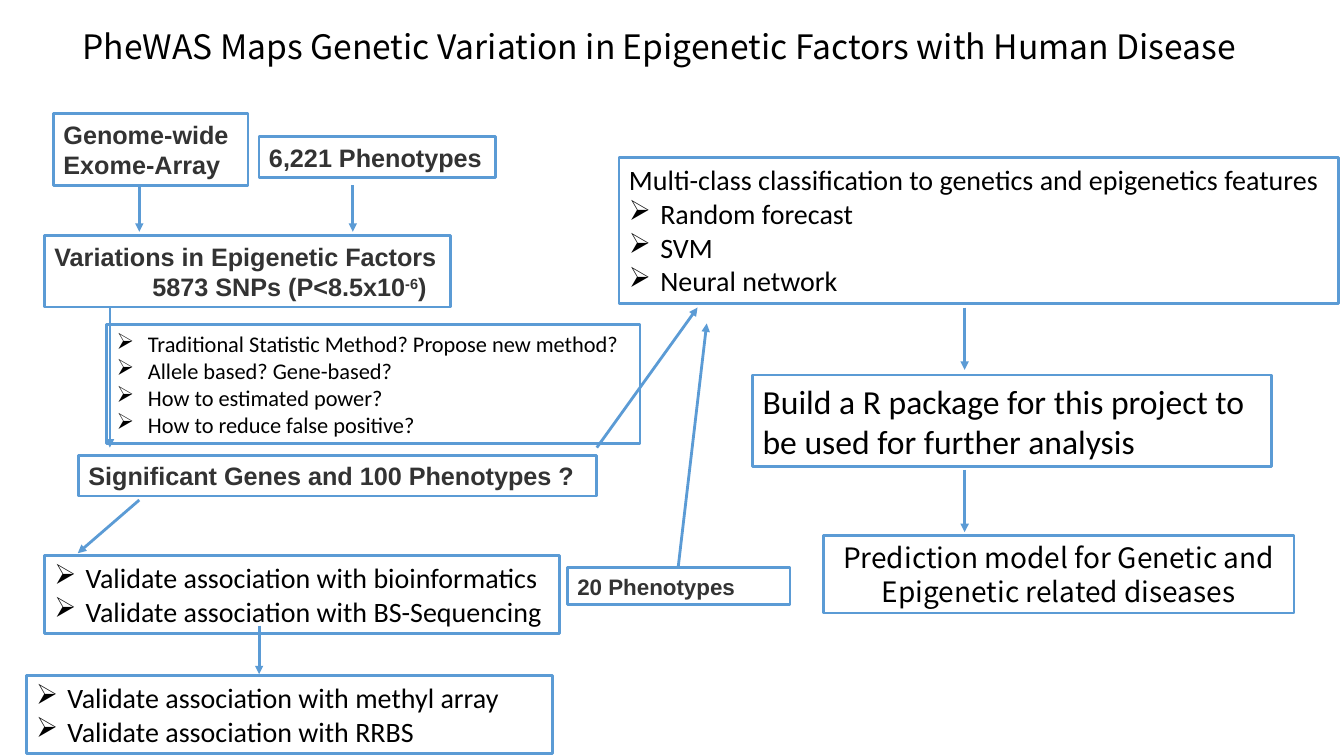
from lxml.etree import SubElement
from pptx import Presentation
from pptx.dml.color import RGBColor
from pptx.enum.shapes import MSO_CONNECTOR as Connector, MSO_SHAPE as Shape
from pptx.enum.text import MSO_ANCHOR as Anchor, MSO_AUTO_SIZE as AutoSize, PP_ALIGN as Align
from pptx.oxml.ns import qn
from pptx.util import Cm, Pt

BLUE, BLACK, GREY, WHITE = "5B9BD5", "000000", "333333", "FFFFFF"
SANS, BODY, WIDE = "Arial", "Calibri", "Noto Sans CJK SC"
BULLET_INDENT = Cm(0.79)


def colour(value):
    return RGBColor.from_string(value)


def set_font(para, name, size, shade, bold=False):
    font = para.font
    font.name, font.size, font.bold = name, Pt(size), bold
    font.color.rgb = colour(shade)


def set_indent(para, left, first=0):
    properties = para._p.get_or_add_pPr()
    properties.set("marL", str(left))
    properties.set("indent", str(first))
    return properties


def add_bullet(para):
    properties = set_indent(para, BULLET_INDENT, -BULLET_INDENT)
    SubElement(properties, qn("a:buChar"), char="➢")


def add_box(page, left, top, width, height, lines, size, name=BODY,
            shade=BLACK, bold=False, filled=False, bullets_from=None):
    """Draw a framed box; lines from index bullets_from on get bullets."""
    box = page.shapes.add_shape(Shape.RECTANGLE, Cm(left), Cm(top), Cm(width), Cm(height))
    box.shadow.inherit = False
    if filled:
        box.fill.solid()
        box.fill.fore_color.rgb = colour(WHITE)
    else:
        box.fill.background()
    box.line.color.rgb = colour(BLUE)
    box.line.width = Pt(2)
    frame = box.text_frame
    frame.word_wrap = True
    frame.vertical_anchor = Anchor.MIDDLE
    for index, line in enumerate(lines):
        para = frame.paragraphs[0] if index == 0 else frame.add_paragraph()
        para.alignment = Align.LEFT
        if bullets_from is not None and index >= bullets_from:
            add_bullet(para)
        para.add_run().text = line
        set_font(para, name, size, shade, bold)
    return box


def add_label(page, left, top, width, height, lines, size=18, filled=True):
    return add_box(page, left, top, width, height, lines, size,
                   SANS, GREY, bold=True, filled=filled)


def add_list(page, left, top, width, height, lines, size=20, bullets_from=0):
    return add_box(page, left, top, width, height, lines, size, bullets_from=bullets_from)


def add_arrow(page, start_x, start_y, end_x, end_y):
    arrow = page.shapes.add_connector(
        Connector.STRAIGHT, Cm(start_x), Cm(start_y), Cm(end_x), Cm(end_y))
    arrow.line.color.rgb = colour(BLUE)
    arrow.line.width = Pt(2)
    SubElement(arrow.line._get_or_add_ln(), qn("a:tailEnd"), type="triangle")
    SubElement(arrow._element.spPr, qn("a:effectLst"))


def add_title(page, text):
    title = page.shapes.title
    title.left, title.top, title.width, title.height = Cm(1.83), Cm(0.53), Cm(31.8), Cm(1.27)
    frame = title.text_frame
    frame.text = text
    frame.word_wrap = True
    frame.auto_size = AutoSize.NONE
    frame.vertical_anchor = Anchor.MIDDLE
    para = frame.paragraphs[0]
    para.alignment = Align.LEFT
    set_font(para, WIDE, 24, BLACK)


def add_variations(page):
    box = add_label(page, 1.12, 5.94, 10.24, 1.8,
                    ["Variations in Epigenetic Factors", "5873 SNPs (P<8.5x10"])
    para = box.text_frame.paragraphs[1]
    set_indent(para, Cm(2.47))
    exponent = para.add_run()
    exponent.text = "-6"
    exponent._r.get_or_add_rPr().set("baseline", "30000")
    para.add_run().text = ")"


def add_prediction(page):
    box = add_box(page, 20.75, 13.49, 11.86, 1.96,
                  ["Prediction model for Genetic and Epigenetic related diseases"], 20, WIDE)
    para = box.text_frame.paragraphs[0]
    para.alignment = Align.CENTER
    para.line_spacing = Pt(24)


def main():
    deck = Presentation()
    deck.slide_width, deck.slide_height = Cm(33.87), Cm(19.05)
    page = deck.slides.add_slide(deck.slide_layouts[5])
    add_title(page, "PheWAS Maps Genetic Variation in Epigenetic Factors with Human Disease")

    # Data sources and association steps
    add_label(page, 1.35, 2.87, 4.9, 1.8, ["Genome-wide", "Exome-Array"])
    add_label(page, 6.53, 3.45, 5.95, 1.02, ["6,221 Phenotypes"])
    add_variations(page)
    add_list(page, 2.69, 8.18, 13.44, 3.0, [
        "Traditional Statistic Method? Propose new method?",
        "Allele based? Gene-based?",
        "How to estimated power?",
        "How to reduce false positive?"], size=16)
    add_label(page, 1.98, 11.48, 13.06, 1.02, ["Significant Genes and 100 Phenotypes ?"])

    # Validation
    add_list(page, 1.12, 14.0, 12.98, 1.96, [
        "Validate association with bioinformatics",
        "Validate association with BS-Sequencing"])
    add_list(page, 0.66, 17.02, 13.26, 1.96, [
        "Validate association with methyl array",
        "Validate association with RRBS"])
    add_label(page, 14.3, 14.3, 5.61, 0.94, ["20 Phenotypes"], size=16, filled=False)

    # Modelling
    add_list(page, 15.6, 3.96, 18.14, 3.68, [
        "Multi-class classification to genetics and epigenetics features",
        "Random forecast", "SVM", "Neural network"], bullets_from=1)
    add_box(page, 18.97, 9.45, 13.08, 2.31,
            ["Build a R package for this project to be used for further analysis"], 24)
    add_prediction(page)

    # Vertical arrows: x, start, end
    for x, start, end in [(3.51, 4.67, 5.84), (8.89, 4.67, 5.84), (2.77, 7.75, 11.28),
                          (6.53, 15.77, 16.99), (24.31, 7.75, 9.32), (24.31, 11.84, 13.41)]:
        add_arrow(page, x, start, x, end)
    # Slanted arrows
    add_arrow(page, 3.51, 12.6, 1.96, 13.94)
    add_arrow(page, 15.04, 11.28, 17.58, 7.75)
    add_arrow(page, 17.09, 14.3, 17.81, 8.15)

    deck.save("out.pptx")


if __name__ == "__main__":
    main()
